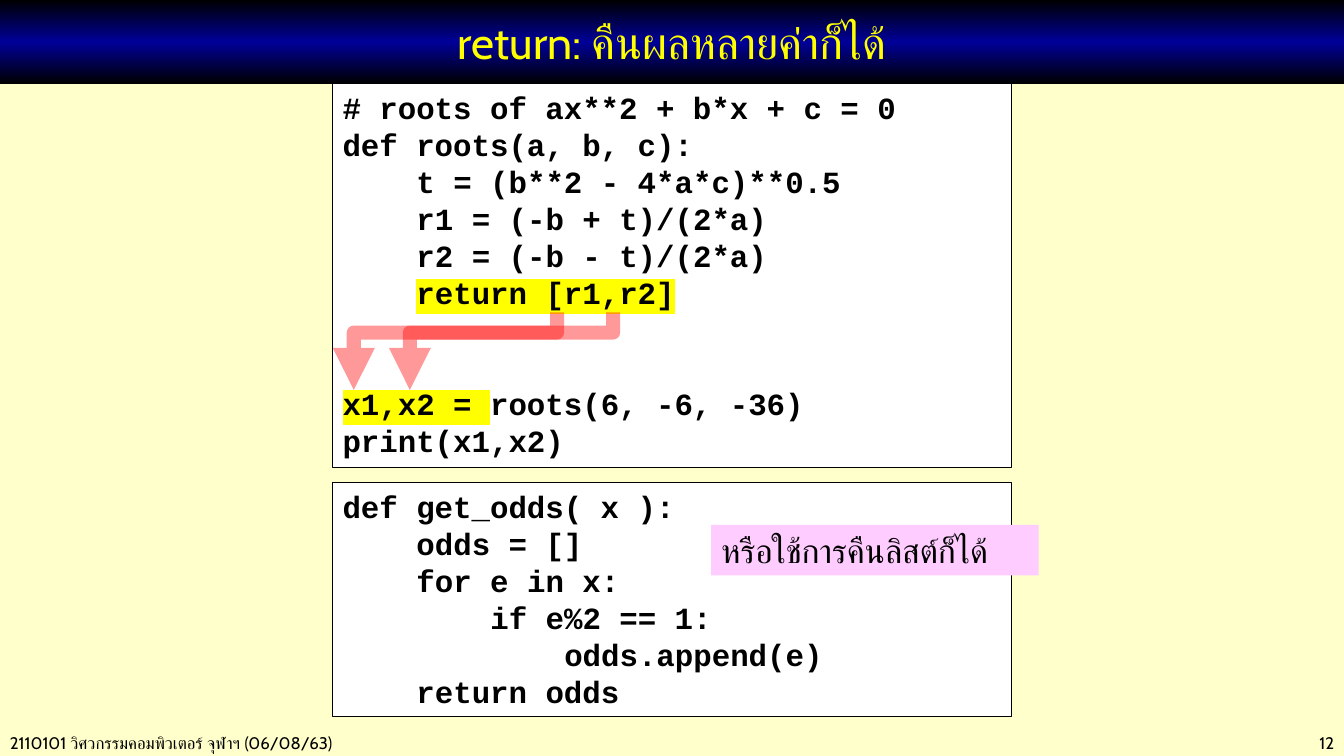
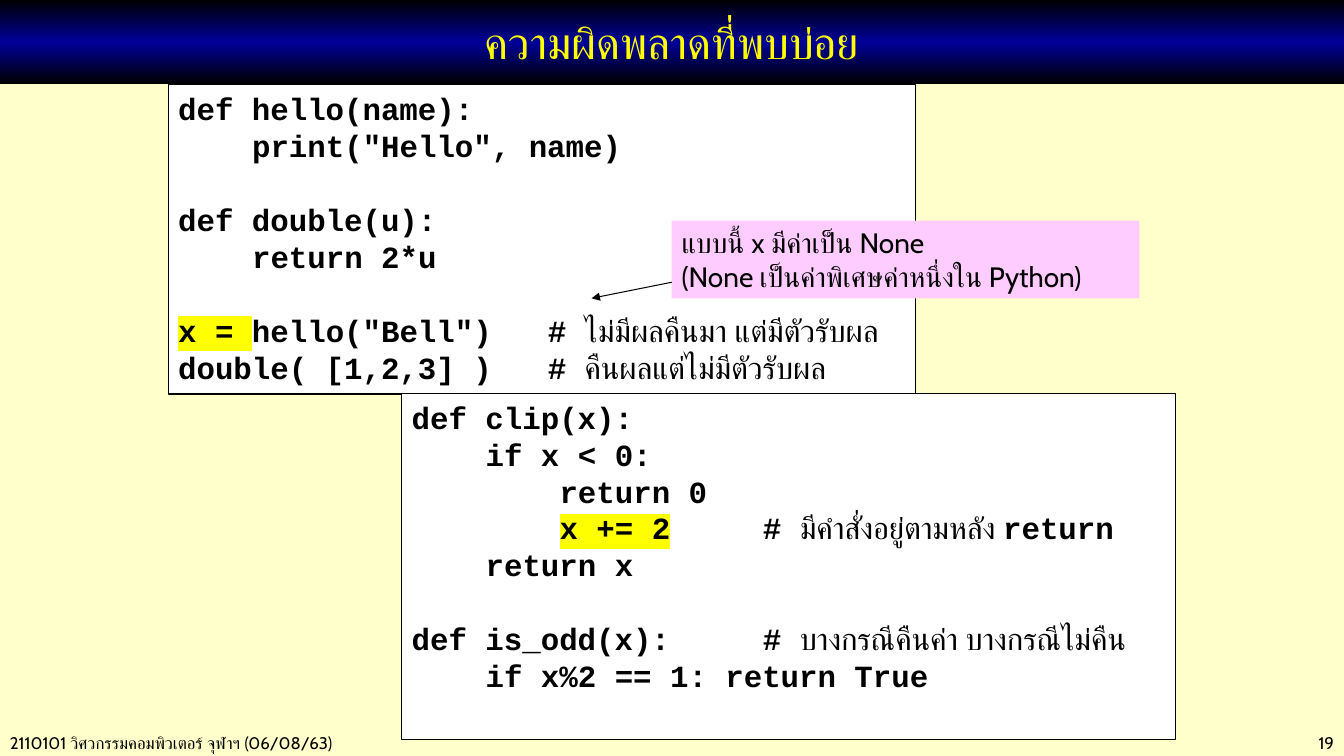
import pptx
import pptx.util
import pptx.dml.color
import pptx.enum.shapes
import pptx.enum.text
import pptx.oxml.ns
from lxml import etree

Pt = pptx.util.Pt
RGB = pptx.dml.color.RGBColor.from_string
SHAPE = pptx.enum.shapes.MSO_SHAPE
ALIGN = pptx.enum.text.PP_ALIGN
ANCHOR = pptx.enum.text.MSO_ANCHOR
qn = pptx.oxml.ns.qn

HUE = {"page": "FFFFCC", "ink": "000000", "navy": "000099", "title": "FFFF00",
       "code": "FFFFFF", "mark": "FFFF00", "note": "FFCCFF", "arrow": "FF0000"}
FOOT = "2110101 วิศวกรรมคอมพิวเตอร์ จุฬาฯ (06/08/63)"
LINE = 26.4   # code line height
CHAR = 13.2   # code letter width


def label(slide, area, text, size, fill=None, hue="ink", align=ALIGN.LEFT):
    """Plain rectangle with text in the middle of its height."""
    box = slide.shapes.add_shape(SHAPE.RECTANGLE, *map(Pt, area))
    box.shadow.inherit = False
    box.line.fill.background()
    if fill:
        box.fill.solid()
        box.fill.fore_color.rgb = RGB(HUE[fill])
    else:
        box.fill.background()
    frame = box.text_frame
    frame.word_wrap = True
    frame.vertical_anchor = ANCHOR.MIDDLE
    para = frame.paragraphs[0]
    para.text = text
    para.alignment = align
    para.font.size = Pt(size)
    para.font.name = "Cabin"
    para.font.color.rgb = RGB(HUE[hue])
    return box


def code(slide, area, text, stops=(4, 8, 12, 20)):
    """Code box: ~ switches the marker, | switches bold, empty lines become space."""
    box = label(slide, area, "", 22, "code")
    box.line.color.rgb = RGB(HUE["ink"])
    box.line.width = Pt(0.75)
    frame = box.text_frame
    frame.vertical_anchor = ANCHOR.TOP
    para, gap = frame.paragraphs[0], 0
    for line in text.strip("\n").split("\n"):
        if not line:
            gap += LINE
            continue
        if para is None:
            para = frame.add_paragraph()
        para.alignment = ALIGN.LEFT
        para.line_spacing = Pt(LINE)
        para.space_before = Pt(gap)
        props = para._p.get_or_add_pPr()
        tabs = etree.Element(qn("a:tabLst"))
        for stop in stops:
            etree.SubElement(tabs, qn("a:tab"), pos=str(Pt(stop * CHAR)), algn="l")
        old = props.find(qn("a:defRPr"))
        if old is not None:
            props.remove(old)
        props.append(tabs)
        font = para.font
        font.name = "Courier New"
        font.size = Pt(22)
        font.bold = True
        font.color.rgb = RGB(HUE["ink"])
        for i, part in enumerate(line.split("~")):
            for j, piece in enumerate(part.split("|")):
                if not piece:
                    continue
                run = para.add_run()
                run.text = piece
                if j % 2:
                    run.font.bold = False
                if i % 2:
                    mark = etree.SubElement(run._r.get_or_add_rPr(), qn("a:highlight"))
                    etree.SubElement(mark, qn("a:srgbClr"), val=HUE["mark"])
        para, gap = None, 0


deck = pptx.Presentation()
deck.slide_width, deck.slide_height = Pt(960), Pt(540)
back = deck.slide_master.background.fill
back.solid()
back.fore_color.rgb = RGB(HUE["page"])

# Shared title band and footer
slides = []
for title, number in (("return: คืนผลหลายค่าก็ได้", "12"), ("ความผิดพลาดที่พบบ่อย", "19")):
    slide = deck.slides.add_slide(deck.slide_layouts[6])
    label(slide, (0, 520, 374, 21.5), FOOT, 12)
    label(slide, (828, 520, 132, 21.5), number, 12, align=ALIGN.RIGHT)
    band = label(slide, (0, 0, 960, 60), title, 32, hue="title", align=ALIGN.CENTER)
    band.fill.gradient()
    band.fill.gradient_angle = 270
    stops = band._element.spPr.find(".//" + qn("a:gsLst"))
    for stop in list(stops):
        stops.remove(stop)
    for spot, hue in ((0, "ink"), (50000, "navy"), (100000, "ink")):
        stop = etree.SubElement(stops, qn("a:gs"), pos=str(spot))
        etree.SubElement(stop, qn("a:srgbClr"), val=HUE[hue])
    slides.append(slide)
first, second = slides

# Slide 1: several results
code(first, (237.6, 60, 485.3, 274), """
# roots of ax**2 + b*x + c = 0
def roots(a, b, c):
\tt = (b**2 - 4*a*c)**0.5
\tr1 = (-b + t)/(2*a)
\tr2 = (-b - t)/(2*a)
\t~return [r1,r2]~


~x1,x2 = ~roots(6, -6, -36)
print(x1,x2)
""")

# Arrows from each result to its variable
for left in (252.7, 292.8):
    right = left + 145.2
    pen = first.shapes.build_freeform(Pt(right), Pt(223.2))
    pen.add_line_segments([(Pt(x), Pt(y)) for x, y in
                           ((right, 237.6), (left, 237.6), (left, 278.6))], close=False)
    arrow = pen.convert_to_shape()
    arrow.shadow.inherit = False
    arrow.fill.background()
    arrow.line.color.rgb = RGB(HUE["arrow"])
    arrow.line.width = Pt(10)
    line = arrow.line._get_or_add_ln()
    etree.SubElement(line.find(".//" + qn("a:srgbClr")), qn("a:alpha"), val="40000")
    etree.SubElement(line, qn("a:round"))
    etree.SubElement(line, qn("a:tailEnd"), type="triangle")

code(first, (237.6, 344.9, 485.3, 167), """
def get_odds( x ):
\todds = []
\tfor e in x:
\t\tif e%2 == 1:
\t\t\todds.append(e)
\treturn odds
""")
label(first, (508, 375, 234, 36), "หรือใช้การคืนลิสต์ก็ได้", 24, "note")

# Slide 2: common mistakes
code(second, (120.2, 60.5, 533.5, 221), """
def hello(name):
\tprint("Hello", name)

def double(u):
\treturn 2*u

~x = ~hello("Bell")\t# |ไม่มีผลคืนมา แต่มีตัวรับผล|
double( [1,2,3] )\t# |คืนผลแต่ไม่มีตัวรับผล|
""")
code(second, (287, 281, 553, 247.5), """
def clip(x):
\tif x < 0:
\t\treturn 0
\t\t~x += 2~\t# |มีคำสั่งอยู่ตามหลัง |return
\treturn x

def is_odd(x):\t# |บางกรณีคืนค่า บางกรณีไม่คืน|
\tif x%2 == 1: return True
""", stops=(4, 8, 12, 19))

# Note with its pointer
label(second, (479.8, 157.7, 334, 55.5),
      "แบบนี้ x มีค่าเป็น None\v(None เป็นค่าพิเศษค่าหนึ่งใน Python)", 20, "note")
link = second.shapes.add_connector(pptx.enum.shapes.MSO_CONNECTOR.STRAIGHT,
                                   Pt(479.8), Pt(201.6), Pt(422.6), Pt(213.1))
link.line.color.rgb = RGB(HUE["ink"])
link.line.width = Pt(0.75)
etree.SubElement(link.line._get_or_add_ln(), qn("a:tailEnd"), type="triangle")
etree.SubElement(link._element.spPr, qn("a:effectLst"))

deck.save("out.pptx")
